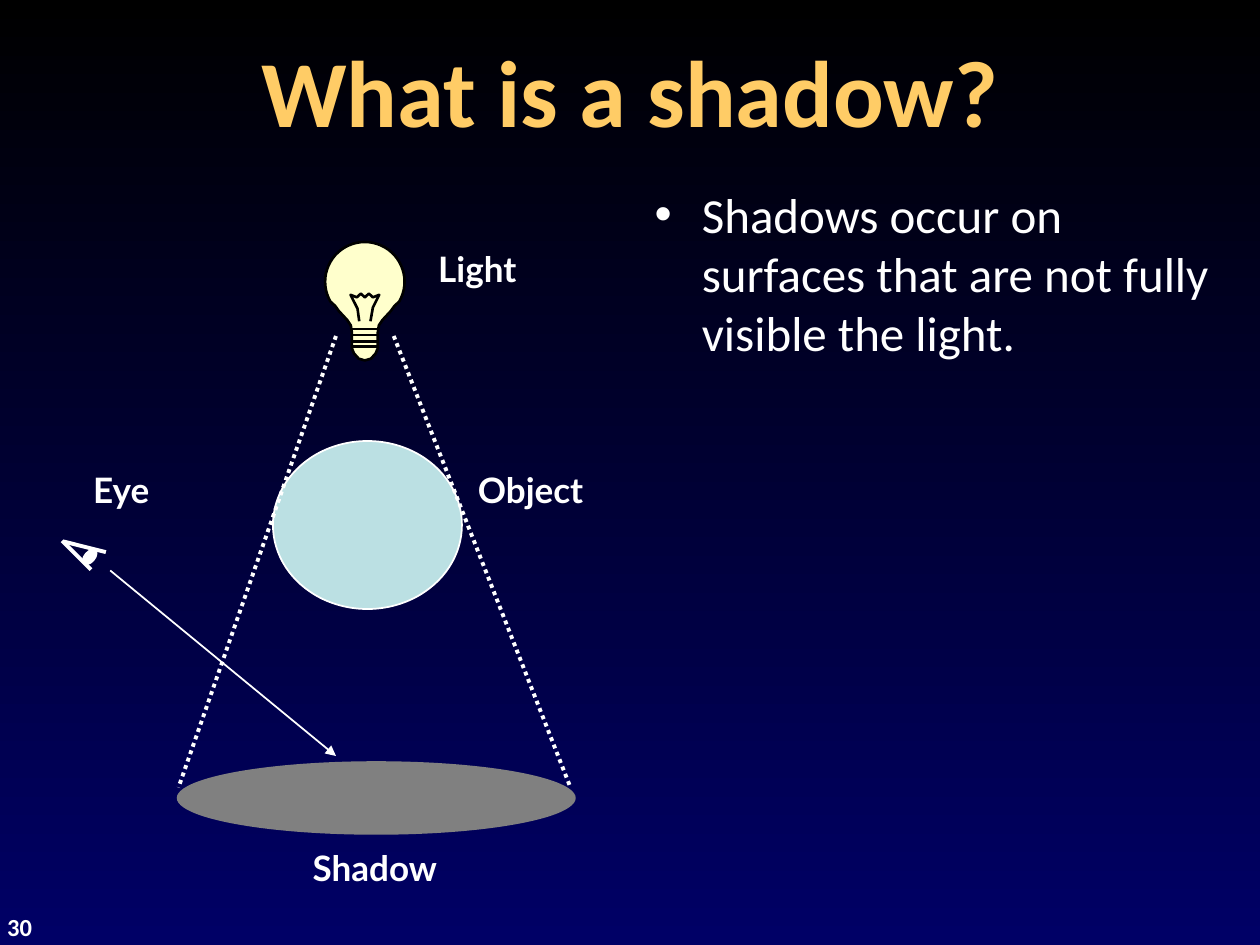
"""Build a slide that explains a shadow with a light, an object and an eye."""
from math import cos, radians, sin

from lxml.etree import SubElement
from pptx import Presentation
from pptx.dml.color import RGBColor
from pptx.enum.dml import MSO_LINE
from pptx.enum.shapes import MSO_CONNECTOR, MSO_SHAPE
from pptx.enum.text import MSO_ANCHOR, PP_ALIGN
from pptx.oxml.ns import qn
from pptx.util import Pt

WHITE = "FFFFFF"


def color(value):
    return RGBColor.from_string(value)


def write(shape, text, size=20, font="Lato", fill=WHITE, bold=True,
          align=PP_ALIGN.CENTER, anchor=MSO_ANCHOR.TOP, wrap=False):
    frame = shape.text_frame
    frame.word_wrap = wrap
    frame.vertical_anchor = anchor
    paragraph = frame.paragraphs[0]
    paragraph.alignment = align
    run = paragraph.add_run()
    run.text = text
    run.font.size = Pt(size)
    run.font.name = font
    run.font.bold = bold
    run.font.color.rgb = color(fill)
    return paragraph


presentation = Presentation()
presentation.slide_width, presentation.slide_height = Pt(720), Pt(540)
slide = presentation.slides.add_slide(presentation.slide_layouts[5])
shapes = slide.shapes

background = slide.background.fill
background.gradient()
background.gradient_angle = 270
for stop, value in zip(background.gradient_stops, ("000000", "000066")):
    stop.color.rgb = color(value)

title = shapes.title
title.left, title.top, title.width, title.height = Pt(12), Pt(12), Pt(696), Pt(78)
write(title, "What is a shadow?", size=54, font="Calibri", fill="FFCC66",
      anchor=MSO_ANCHOR.MIDDLE, wrap=True)

number = shapes.add_textbox(Pt(-3), Pt(517.5), Pt(47.5), Pt(24))
write(number, "30", size=14, font="Calibri", align=PP_ALIGN.LEFT, wrap=True)

body = shapes.add_textbox(Pt(367), Pt(102), Pt(341), Pt(405))
paragraph = write(body, "Shadows occur on surfaces that are not fully visible the light.",
                  size=28, font="Calibri", bold=False, align=PP_ALIGN.LEFT, wrap=True)
paragraph.space_before = Pt(5.6)
properties = paragraph._p.get_or_add_pPr()
properties.set("marL", str(Pt(27)))
properties.set("indent", str(Pt(-27)))
SubElement(properties, qn("a:buFont"), typeface="Arial")
SubElement(properties, qn("a:buChar"), char="•")

bulb_x, bulb_y, radius = 208.5, 161, 22.7
dome = [(radius * cos(radians(angle)), bulb_y + radius * sin(radians(angle)))
        for angle in range(-90, 31, 6)]
neck = [(17, 174.8), (14.8, 177.8), (10, 183), (8, 186), (7.4, 190),
        (7.4, 199), (6.2, 202), (3.5, 205), (0, 206)]
right_side = dome + neck
glass = right_side + [(-x, y) for x, y in reversed(right_side)]
filament = [(3.2, 183.6), (4.6, 175.7), (8.2, 168.5), (4.6, 169.9), (2.3, 167.8),
            (0, 169.9), (-2.3, 167.8), (-4.6, 169.9), (-8.2, 168.5),
            (-4.2, 176.4), (-3.2, 183.6)]
threads = [[(-7.4, y), (7.4, y)] for y in (188, 191.5, 195, 198.2)]
for contours, closed in (([glass], True), ([filament] + threads, False)):
    builder = None
    for contour in contours:
        points = [(Pt(bulb_x + x), Pt(y)) for x, y in contour]
        if builder is None:
            builder = shapes.build_freeform(*points[0])
        else:
            builder.move_to(*points[0])
        builder.add_line_segments(points[1:], close=closed)
    part = builder.convert_to_shape()
    part.shadow.inherit = False
    if closed:
        part.fill.solid()
        part.fill.fore_color.rgb = color("FFFFCC")
    else:
        part.fill.background()
    part.line.color.rgb = color("000000")
    part.line.width = Pt(1.5)

ellipses = [
    (156, 252, 108, 96, 0, "BBE0E3", 1),
    (101, 435, 228, 42, 0, "808080", 0),
    (49, 314, 4.5, 8.6, 41.2, WHITE, 2.25),
]
for left, top, width, height, rotation, fill, outline in ellipses:
    ellipse = shapes.add_shape(MSO_SHAPE.OVAL, Pt(left), Pt(top), Pt(width), Pt(height))
    ellipse.shadow.inherit = False
    ellipse.rotation = rotation
    ellipse.fill.solid()
    ellipse.fill.fore_color.rgb = color(fill)
    if outline:
        ellipse.line.color.rgb = color(WHITE)
        ellipse.line.width = Pt(outline)
    else:
        ellipse.line.fill.background()

lines = [
    (192, 192, 102, 450, 2.25, "ray"),
    (225, 192, 326, 450, 2.25, "ray"),
    (36.5, 309.5, 60.5, 315.5, 2.25, "eyelid"),
    (35.5, 309, 52, 325.5, 2.25, "eyelid"),
    (63, 326, 192, 432, 1, "gaze"),
]
for x1, y1, x2, y2, width, role in lines:
    line = shapes.add_connector(MSO_CONNECTOR.STRAIGHT, Pt(x1), Pt(y1), Pt(x2), Pt(y2))
    line.line.color.rgb = color(WHITE)
    line.line.width = Pt(width)
    if role == "ray":
        line.line.dash_style = MSO_LINE.ROUND_DOT
        shapes._spTree.remove(line._element)
        ellipses_start = shapes._spTree.index(ellipse._element) - 1
        shapes._spTree.insert(ellipses_start, line._element)
    elif role == "gaze":
        SubElement(line.line._get_or_add_ln(), qn("a:tailEnd"), type="triangle")
    SubElement(line._element.spPr, qn("a:effectLst"))

labels = [
    ("Light", 240, 138, 65.5),
    ("Object", 263, 264, 80.5),
    ("Shadow", 167, 480, 94.5),
    ("Eye", 44, 264, 50.5),
]
for text, left, top, width in labels:
    write(shapes.add_textbox(Pt(left), Pt(top), Pt(width), Pt(31)), text)

presentation.save("out.pptx")
